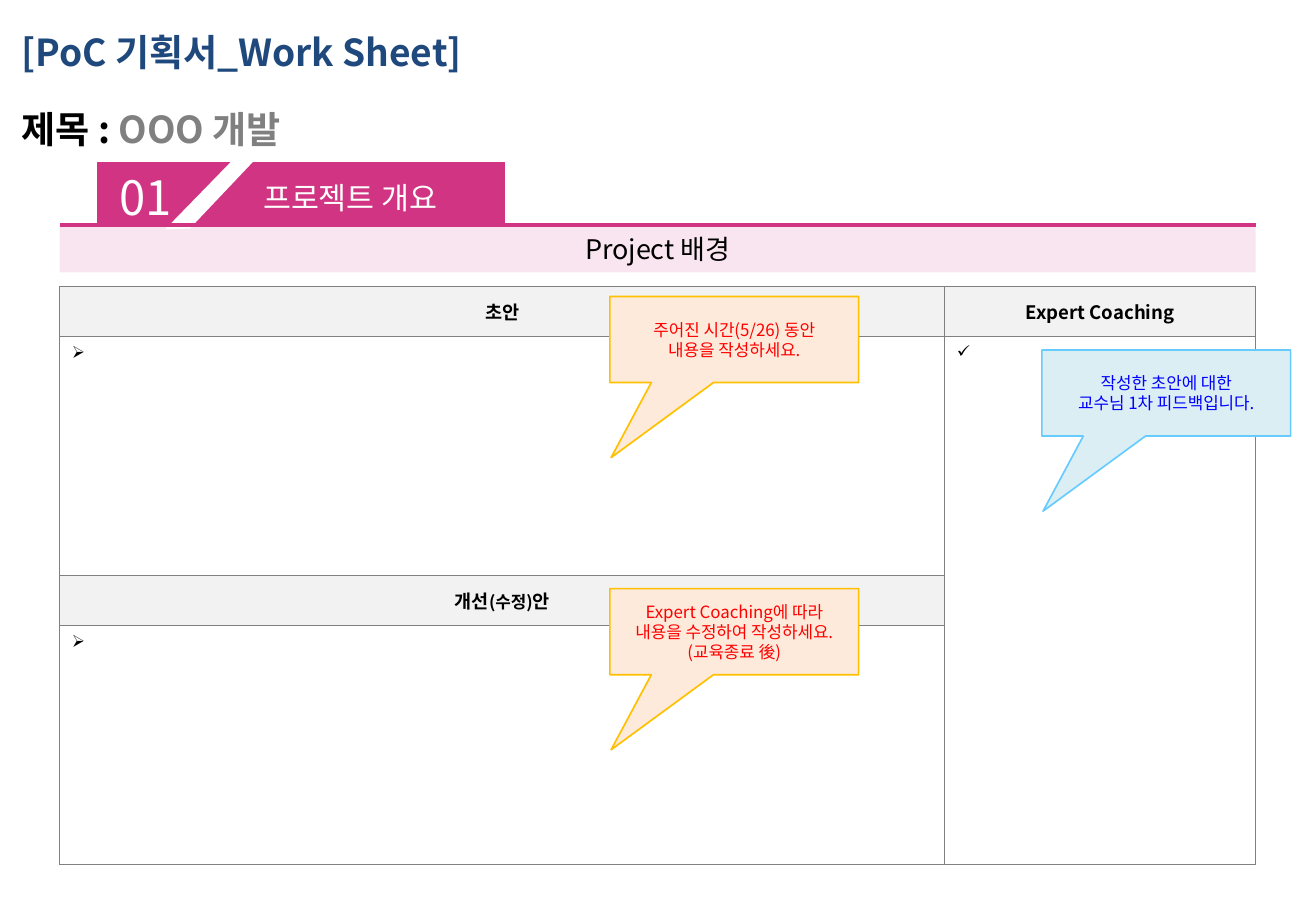
from lxml import etree
from pptx import Presentation
from pptx.dml.color import RGBColor
from pptx.enum.shapes import MSO_CONNECTOR, MSO_SHAPE
from pptx.enum.text import MSO_ANCHOR, MSO_AUTO_SIZE, PP_ALIGN
from pptx.oxml import parse_xml
from pptx.oxml.ns import nsdecls, qn
from pptx.util import Cm, Pt

LEFT, CENTER = PP_ALIGN.LEFT, PP_ALIGN.CENTER
TOP, MIDDLE = MSO_ANCHOR.TOP, MSO_ANCHOR.MIDDLE
RECTANGLE, CALLOUT = MSO_SHAPE.RECTANGLE, MSO_SHAPE.RECTANGULAR_CALLOUT
STRAIGHT, NO_AUTOFIT = MSO_CONNECTOR.STRAIGHT, MSO_AUTO_SIZE.NONE

FONT = "Noto Sans CJK KR"
COLORS = {
    "navy": "1F497D", "black": "000000", "gray": "808080", "white": "FFFFFF",
    "magenta": "D03482", "pink": "F9E5EF", "header": "F2F2F2",
    "peach": "FDEADA", "amber": "FFC000", "red": "FF0000",
    "ice": "DBEEF4", "sky": "66CCFF", "blue": "0000FF",
}


def rgb(name):
    return RGBColor.from_string(COLORS[name])


def style(paragraph, size, color, bold=False, align=CENTER):
    paragraph.alignment = align
    font = paragraph.font
    font.size, font.bold, font.name = Pt(size), bold, FONT
    font.color.rgb = rgb(color)
    east_asian = etree.SubElement(paragraph._p.pPr.find(qn("a:defRPr")), qn("a:ea"))
    east_asian.set("typeface", FONT)


def paint(shape, fill, line=None):
    shape.shadow.inherit = False
    shape.fill.solid()
    shape.fill.fore_color.rgb = rgb(fill)
    if line:
        shape.line.color.rgb = rgb(line)
        shape.line.width = Pt(1)
    else:
        shape.line.fill.background()


def write_lines(frame, lines, size, color):
    frame.word_wrap = True
    frame.vertical_anchor = MIDDLE
    frame.text = "\n".join(lines)
    for paragraph in frame.paragraphs:
        style(paragraph, size, color)


def add_heading(slide, left, top, width, height):
    heading = slide.shapes.title
    heading.left, heading.top = Cm(left), Cm(top)
    heading.width, heading.height = Cm(width), Cm(height)
    frame = heading.text_frame
    frame.auto_size = NO_AUTOFIT
    frame.vertical_anchor = TOP
    frame.margin_left = Cm(0.45)
    frame.text = "[PoC 기획서_Work Sheet]\n제목 : "
    subject = frame.paragraphs[1].add_run()
    subject.text = "OOO 개발"
    for paragraph, color in zip(frame.paragraphs, ("navy", "black")):
        style(paragraph, 22, color, bold=True, align=LEFT)
        paragraph.line_spacing = 1.5
        paragraph.space_before = Pt(6)
    subject.font.color.rgb = rgb("gray")


def add_section_banner(slide, left, top, width):
    shapes = slide.shapes
    rule_y = top + 1.4

    # Tab with section number and name
    tab = shapes.add_shape(RECTANGLE, Cm(left + 0.8), Cm(top + 0.1), Cm(8.5), Cm(1.3))
    paint(tab, "magenta", "magenta")
    for text, size, x, y, w, h in (
        ("프로젝트 개요", 18, 4, 0.33, 5.2, 1.02),
        ("01", 28, 1, 0.1, 1.8, 1.45),
    ):
        label = shapes.add_textbox(Cm(left + x), Cm(top + y), Cm(w), Cm(h))
        label.text_frame.word_wrap = True
        label.text_frame.text = text
        style(label.text_frame.paragraphs[0], size, "white", align=LEFT)

    # Topic band
    band = shapes.add_shape(RECTANGLE, Cm(left), Cm(rule_y), Cm(width), Cm(1))
    paint(band, "pink")
    write_lines(band.text_frame, ["Project 배경"], 16, "black")

    # White slash across the tab
    corners = [(Cm(left + x), Cm(top + y))
               for x, y in ((2.2, 1.5), (3.66, 0), (4.12, 0), (2.72, 1.48))]
    outline = shapes.build_freeform(*corners[0])
    outline.add_line_segments(corners[1:], close=True)
    paint(outline.convert_to_shape(), "white")

    # Rule under the tab
    rule = shapes.add_connector(STRAIGHT, Cm(left), Cm(rule_y), Cm(left + width), Cm(rule_y))
    rule.line.color.rgb = rgb("magenta")
    rule.line.width = Pt(2.5)
    etree.SubElement(rule._element.spPr, qn("a:effectLst"))


def border_cell(cell):
    properties = cell._tc.get_or_add_tcPr()
    for position, side in enumerate(("lnL", "lnR", "lnT", "lnB")):
        properties.insert(position, parse_xml(
            f'<a:{side} {nsdecls("a")} w="6350"><a:solidFill>'
            f'<a:srgbClr val="{COLORS["gray"]}"/></a:solidFill></a:{side}>'))


def add_bullet(cell, mark):
    cell.text = " "
    paragraph = cell.text_frame.paragraphs[0]
    style(paragraph, 10, "black", align=LEFT)
    properties = paragraph._p.pPr
    properties.set("marL", str(Cm(0.45)))
    properties.set("indent", str(-Cm(0.45)))
    bullet = parse_xml(f'<a:buChar {nsdecls("a")} char="{mark}"/>')
    properties.find(qn("a:defRPr")).addprevious(bullet)


def add_worksheet(slide, left, top, column_widths, row_heights):
    table = slide.shapes.add_table(
        len(row_heights), len(column_widths), Cm(left), Cm(top),
        Cm(sum(column_widths)), Cm(sum(row_heights))).table
    for column, width in zip(table.columns, column_widths):
        column.width = Cm(width)
    for row, height in zip(table.rows, row_heights):
        row.height = Cm(height)
    table.cell(1, 1).merge(table.cell(3, 1))

    headers = {
        (0, 0): [("초안", 11)],
        (0, 1): [("Expert Coaching", 11)],
        (2, 0): [("개선", 11), ("(수정)", 10), ("안", 11)],
    }
    bullets = {(1, 0): "➢", (1, 1): "✓", (3, 0): "➢"}
    for r in range(len(row_heights)):
        for c in range(len(column_widths)):
            cell = table.cell(r, c)
            cell.fill.solid()
            cell.fill.fore_color.rgb = rgb("header" if (r, c) in headers else "white")
            border_cell(cell)
            if (r, c) in headers:
                cell.vertical_anchor = MIDDLE
                paragraph = cell.text_frame.paragraphs[0]
                style(paragraph, 11, "black", bold=True)
                for text, size in headers[r, c]:
                    run = paragraph.add_run()
                    run.text = text
                    if size != 11:
                        run.font.size = Pt(size)
            elif (r, c) in bullets:
                add_bullet(cell, bullets[r, c])


def add_callout(slide, left, top, lines, fill, line, color):
    callout = slide.shapes.add_shape(CALLOUT, Cm(left), Cm(top), Cm(5.2), Cm(1.8))
    callout.adjustments[0], callout.adjustments[1] = -0.495, 1.372
    paint(callout, fill, line)
    write_lines(callout.text_frame, lines, 10, color)


deck = Presentation()
deck.slide_width, deck.slide_height = Cm(27.51), Cm(19.05)
worksheet = deck.slides.add_slide(deck.slide_layouts[5])

add_heading(worksheet, 0, 0.03, 27.51, 3.3)
add_section_banner(worksheet, 1.25, 3.3, 25)
add_worksheet(worksheet, 1.25, 5.99, (18.5, 6.5), (1.04, 5) * 2)

draft_note = ["주어진 시간(5/26) 동안", "내용을 작성하세요."]
revision_note = ["Expert Coaching에 따라", "내용을 수정하여 작성하세요.", "(교육종료 後)"]
feedback_note = ["작성한 초안에 대한", "교수님 1차 피드백입니다."]
add_callout(worksheet, 12.75, 6.2, draft_note, "peach", "amber", "red")
add_callout(worksheet, 12.75, 12.31, revision_note, "peach", "amber", "red")
add_callout(worksheet, 21.78, 7.32, feedback_note, "ice", "sky", "blue")

deck.save("out.pptx")
